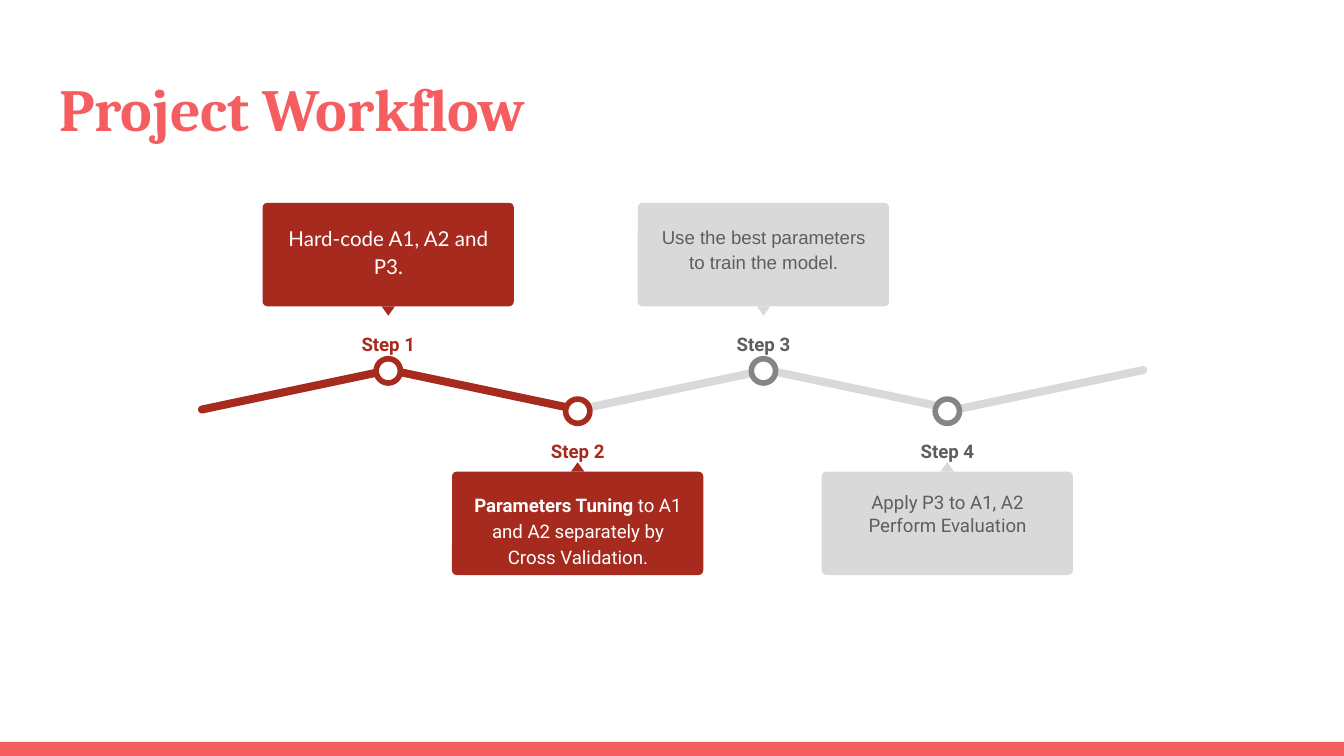
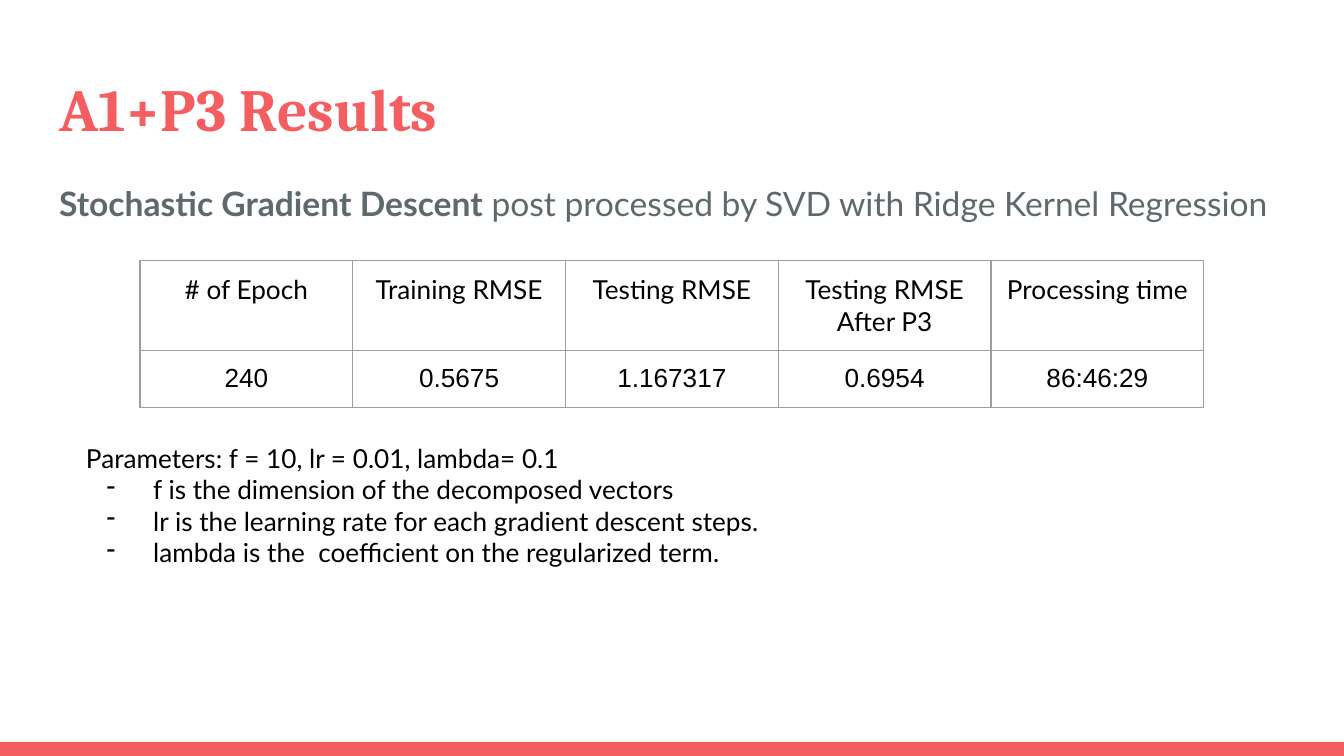
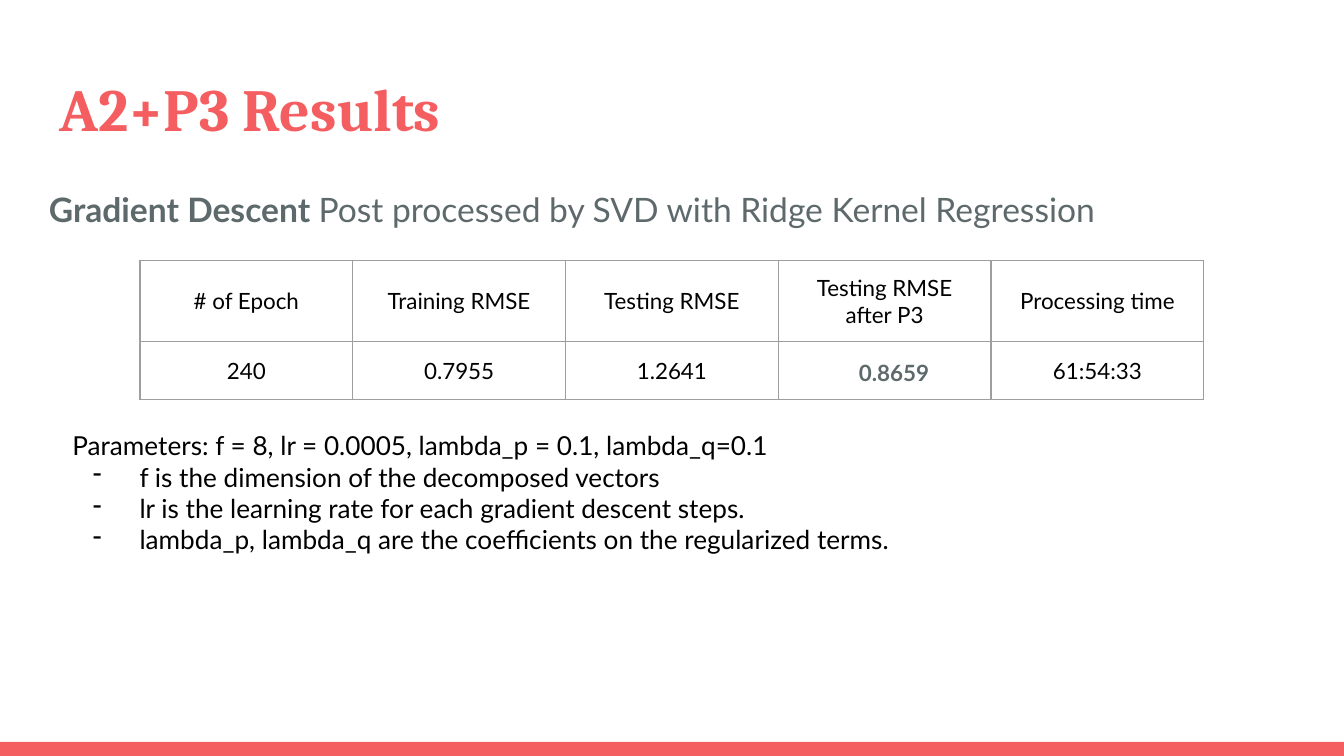
from lxml.etree import SubElement as Sub
from pptx import Presentation
from pptx.dml.color import RGBColor as Rgb
from pptx.enum.shapes import MSO_SHAPE as Kind
from pptx.enum.text import MSO_ANCHOR as Anchor, MSO_AUTO_SIZE as Fit, PP_ALIGN as Align
from pptx.oxml.ns import qn
from pptx.util import Pt

INK = {
    "coral": "F55E61", "red": "A72A1E", "light": "D9D9D9", "ring": "858585",
    "gray": "5E5E5E", "slate": "5E696C", "edge": "9E9E9E",
    "black": "000000", "white": "FFFFFF",
}
WIDTH, HEIGHT = 720, 405
PAD = 7.2
CARD_W, CARD_H = 134.6, 55.4
TITLE_BOX = (24.5, 31, 671, 49)
STEPS = [
    (208, 108.7, True, "Step 1", ["Hard-code A1, A2 and P3."], "Lato", 11, 1.15),
    (309.5, 213.8, True, "Step 2",
     [[("Parameters Tuning ", True), ("to A1 and A2 separately by Cross Validation.", False)]],
     "Roboto", 10, 1.15),
    (409, 108.7, False, "Step 3", ["Use the best parameters to train the model."], "Arial", 10, 1.15),
    (507.5, 213.8, False, "Step 4", ["Apply P3 to A1, A2", "Perform Evaluation"], "Roboto", 10, 1),
]


def color(name):
    return Rgb.from_string(INK[name])


def place(shape, box):
    shape.left, shape.top, shape.width, shape.height = map(Pt, box)


def draw(shapes, kind, box, fill, line=None, turn=0, bend=None):
    shape = shapes.add_shape(kind, *map(Pt, box))
    shape.shadow.inherit = False
    shape.fill.solid()
    shape.fill.fore_color.rgb = color(fill)
    if line:
        shape.line.color.rgb = color(line)
        shape.line.width = Pt(3)
    else:
        shape.line.fill.background()
    if bend is not None:
        shape.adjustments[0] = bend
    shape.rotation = turn
    return shape


def write(frame, paras, face, size, ink, bold=False, align=Align.LEFT, space=1):
    for i, text in enumerate(paras):
        para = frame.add_paragraph() if i else frame.paragraphs[0]
        para.alignment, para.line_spacing, para.space_before = align, space, Pt(0)
        font = para.font
        font.name, font.size, font.color.rgb = face, Pt(size), color(ink)
        if isinstance(text, str):
            font.bold = bold
            para.add_run().text = text
        else:
            for part, heavy in text:
                run = para.add_run()
                run.text, run.font.bold = part, heavy


def setup(frame):
    frame.word_wrap = True
    frame.auto_size = Fit.NONE
    frame.vertical_anchor = Anchor.TOP
    frame.margin_left = frame.margin_right = Pt(PAD)
    frame.margin_top = frame.margin_bottom = Pt(PAD)


def add_text(shapes, box, *args, **style):
    frame = shapes.add_textbox(*map(Pt, box)).text_frame
    setup(frame)
    write(frame, *args, **style)
    return frame


def indent(para, left, hang=0, mark=None):
    props = para._p.get_or_add_pPr()
    props.set("marL", str(Pt(left)))
    props.set("indent", str(Pt(hang)))
    bullet = Sub(props, qn("a:buChar" if mark else "a:buNone"))
    if mark:
        bullet.set("char", mark)
    last = props.find(qn("a:defRPr"))
    if last is not None:
        props.append(last)


def fill_holder(holder, box, *args, **style):
    place(holder, box)
    setup(holder.text_frame)
    write(holder.text_frame, *args, **style)


def add_slide(deck, layout, title):
    slide = deck.slides.add_slide(deck.slide_layouts[layout])
    fill_holder(slide.shapes.title, TITLE_BOX, [title], "Cambria", 32, "coral", bold=True)
    return slide


def add_band(deck, slide):
    band = draw(slide.shapes, Kind.RECTANGLE, (0, 397.5, WIDTH, 7.5), "coral")
    band.element.nvSpPr.cNvPr.set("id", "20")
    deck.slide_master.shapes.element.append(band.element)


def add_track(slide, left, top):
    for i in reversed(range(5)):
        box = (left + 101 * i, top, 106.6, 4.3)
        draw(slide.shapes, Kind.ROUNDED_RECTANGLE, box, "red" if i < 2 else "light",
             turn=11.9 if i % 2 else -11.9, bend=0.5)


def add_step(slide, mid, top, done, label, paras, face, size, space):
    above = top < 200
    card, tip, name, dot = (0, 55.4, 60.5, 83.5) if above else (38.9, 33.9, 13, 0)
    fill, ring, ink, tone = ("red", "red", "white", "red") if done else ("light", "ring", "gray", "gray")
    shapes = slide.shapes.add_group_shape().shapes
    left = mid - CARD_W / 2
    draw(shapes, Kind.ROUNDED_RECTANGLE, (left, top + card, CARD_W, CARD_H), fill, bend=0.045)
    draw(shapes, Kind.ISOSCELES_TRIANGLE, (mid - 3.6, top + tip, 7.2, 5), fill, turn=180 if above else 0)
    add_text(shapes, (left + 3.4, top + card + 3.1, 128, 49), paras, face, size, ink,
             align=Align.CENTER, space=space)
    add_text(shapes, (mid - 27.4, top + name, 54.8, 21.6), [label], "Roboto", 10, tone,
             bold=True, align=Align.CENTER, space=1.15)
    draw(shapes, Kind.OVAL, (mid - 6.5, top + dot, 13, 13), "white", line=ring)


def add_edges(cell):
    props = cell._tc.get_or_add_tcPr()
    for i, side in enumerate(("lnL", "lnR", "lnT", "lnB")):
        line = props.makeelement(qn("a:" + side), {"w": str(Pt(0.75))})
        fill = Sub(line, qn("a:solidFill"))
        Sub(fill, qn("a:srgbClr")).set("val", INK["edge"])
        props.insert(i, line)


def add_grid(slide, box, rows, highs, sizes, faces, anchor, accent=None):
    table = slide.shapes.add_table(len(rows), len(rows[0]), *map(Pt, box)).table
    table.first_row = table.horz_banding = False
    for r, row in enumerate(rows):
        table.rows[r].height = Pt(highs[r])
        for c, text in enumerate(row):
            cell = table.cell(r, c)
            cell.fill.background()
            cell.vertical_anchor = anchor
            cell.margin_left = cell.margin_right = Pt(PAD)
            cell.margin_top = cell.margin_bottom = Pt(PAD)
            add_edges(cell)
            frame = cell.text_frame
            if (r, c) == accent:
                write(frame, [text], faces[r], sizes, "slate", bold=True, space=1.15)
                indent(frame.paragraphs[0], 36)
            else:
                write(frame, text.split("\n"), faces[r], sizes, "black", align=Align.CENTER)


def add_notes(slide, box, lines):
    frame = add_text(slide.shapes, box, lines, "Lato", 14, "black")
    for para in frame.paragraphs[1:]:
        indent(para, 36, -25, "-")


def add_flow(deck):
    slide = add_slide(deck, 5, "Project Workflow")
    add_band(deck, slide)
    add_track(slide, 105, 206.7)
    for step in STEPS:
        add_step(slide, *step)


def add_result(deck, title, lead, lead_box, space, grid, notes_box, notes):
    slide = add_slide(deck, 1, title)
    body = slide.placeholders[1]
    fill_holder(body, lead_box, [lead], "Lato", 18, "slate", space=space)
    indent(body.text_frame.paragraphs[0], 0)
    add_grid(slide, (75, 139.7, 570, sum(grid["highs"])), **grid)
    add_notes(slide, notes_box, notes)


def main():
    deck = Presentation()
    deck.slide_width, deck.slide_height = Pt(WIDTH), Pt(HEIGHT)
    add_flow(deck)
    add_result(
        deck, "A1+P3 Results",
        [("Stochastic Gradient Descent", True),
         (" post processed by SVD with Ridge Kernel Regression", False)],
        (24.5, 91, 671, 30), 1,
        {"rows": [["# of Epoch", "Training RMSE", "Testing RMSE", "Testing RMSE\nAfter P3", "Processing time"],
                  ["240", "0.5675", "1.167317", "0.6954", "86:46:29"]],
         "highs": (48, 30.5), "sizes": 14, "faces": ("Lato", "Arial"), "anchor": Anchor.TOP},
        (39, 229.7, 628.5, 114),
        ["Parameters: f = 10, lr = 0.01, lambda= 0.1",
         "f is the dimension of the decomposed vectors",
         "lr is the learning rate for each gradient descent steps.",
         "lambda is the  coefficient on the regularized term."])
    add_result(
        deck, "A2+P3 Results",
        [("Gradient Descent ", True),
         ("Post processed by SVD with Ridge Kernel Regression", False)],
        (19, 91, 671, 121.5), 1.15,
        {"rows": [["# of Epoch", "Training RMSE", "Testing RMSE", "Testing RMSE after P3", "Processing time"],
                  ["240", "0.7955", "1.2641", "0.8659", "61:54:33"]],
         "highs": (43, 30.5), "sizes": 12, "faces": ("Lato", "Lato"), "anchor": Anchor.MIDDLE,
         "accent": (1, 3)},
        (31.7, 223, 645, 128),
        ["Parameters: f = 8, lr = 0.0005, lambda_p = 0.1, lambda_q=0.1",
         "f is the dimension of the decomposed vectors",
         "lr is the learning rate for each gradient descent steps.",
         "lambda_p, lambda_q are the coefficients on the regularized terms."])
    deck.save("out.pptx")


if __name__ == "__main__":
    main()
